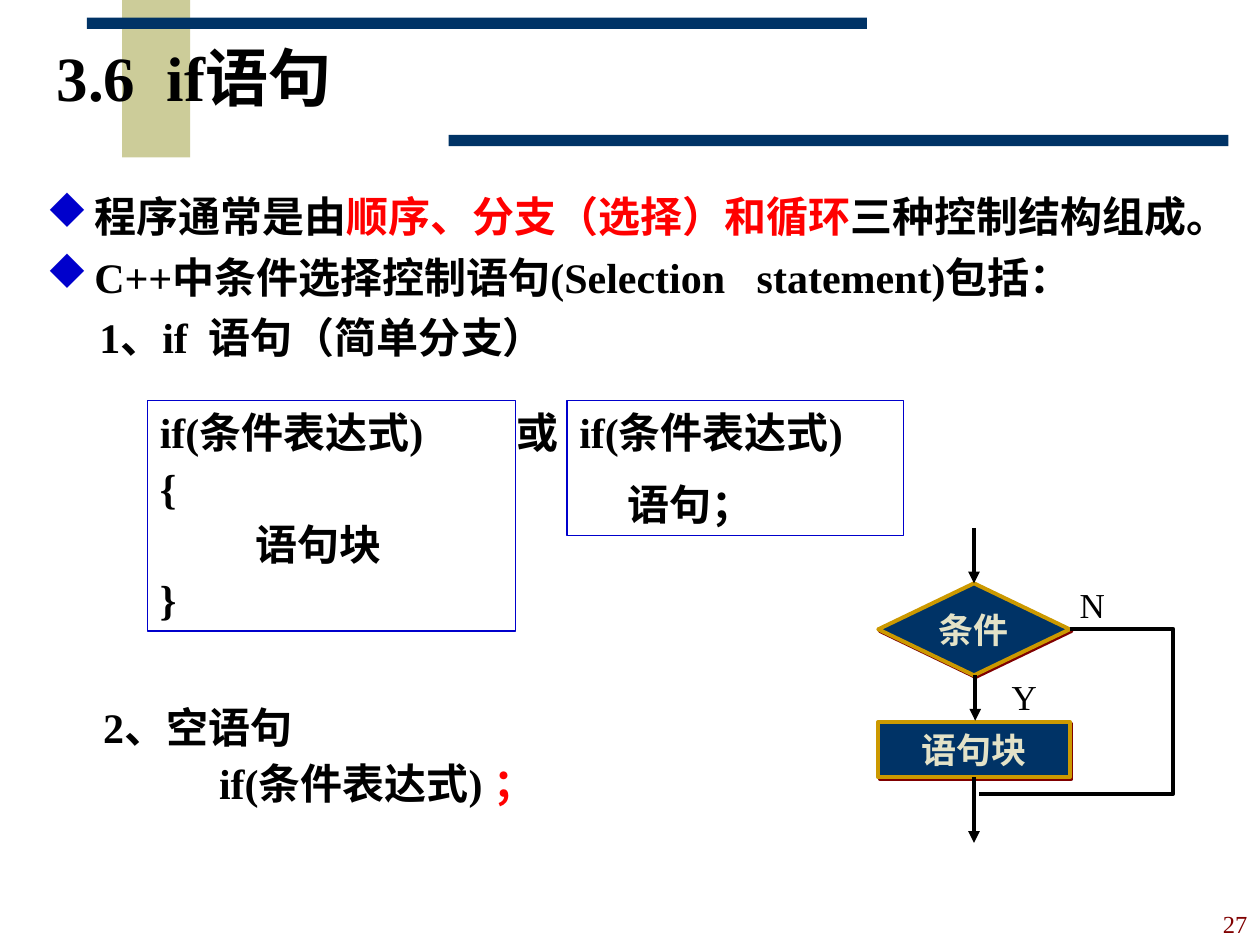
from lxml import etree
from pptx import Presentation
from pptx.dml.color import RGBColor
from pptx.enum.shapes import MSO_CONNECTOR, MSO_SHAPE
from pptx.enum.text import MSO_ANCHOR, MSO_AUTO_SIZE, PP_ALIGN
from pptx.oxml import parse_xml
from pptx.oxml.ns import nsdecls, qn
from pptx.util import Inches, Pt

FONT = "Times New Roman"
BLACK, NAVY, BLUE, RED = "000000", "003366", "0000CC", "FF0000"


def rgb(color):
    return RGBColor.from_string(color)


def write(sp, paragraphs, size=24, bold=True, color=BLACK, gap=0,
          align=PP_ALIGN.LEFT, anchor=MSO_ANCHOR.TOP, wrap=True):
    """Fill a shape with paragraphs, each a list of (text, colour or None) runs."""
    tf = sp.text_frame
    tf.word_wrap = wrap
    tf.auto_size = MSO_AUTO_SIZE.NONE
    tf.vertical_anchor = anchor
    for i, runs in enumerate(paragraphs):
        p = tf.add_paragraph() if i else tf.paragraphs[0]
        p.alignment = align
        p.space_before = Pt(gap if i else 0)
        p.font.name, p.font.size, p.font.bold = FONT, Pt(size), bold
        p.font.color.rgb = rgb(color)
        for text, run_color in runs:
            r = p.add_run()
            r.text = text
            if run_color:
                r.font.color.rgb = rgb(run_color)
    return tf.paragraphs


prs = Presentation()
prs.slide_width, prs.slide_height = Inches(10), Inches(7.5)
s = prs.slides.add_slide(prs.slide_layouts[5])

# Decorative bars behind the title
for x, y, w, h, color in [(0.97, 0, 0.54, 1.25, "CCCC99"),
                          (0.69, 0.14, 6.19, 0.09, NAVY),
                          (3.56, 1.07, 6.19, 0.09, NAVY)]:
    bar = s.shapes.add_shape(MSO_SHAPE.RECTANGLE, Inches(x), Inches(y), Inches(w), Inches(h))
    bar.shadow.inherit = False
    bar.fill.solid()
    bar.fill.fore_color.rgb = rgb(color)
    bar.line.fill.background()

title = s.shapes.title
bar._element.addnext(title._element)
title.left, title.top, title.width, title.height = (
    Inches(0.35), Inches(0.28), Inches(8.74), Inches(0.74))
write(title, [[("3.6  if语句", None)]], size=36, anchor=MSO_ANCHOR.MIDDLE)[0].line_spacing = 0.85

# Main text; the letter u is a diamond in Wingdings
body = s.shapes.add_textbox(Inches(0.27), Inches(1.46), Inches(9.73), Inches(1.6))
lines = write(body, [
    [("程序通常是由", None), ("顺序、分支（选择）和循环", RED), ("三种控制结构组成。", None)],
    [("C++中条件选择控制语句(Selection   statement)包括：", None)],
    [("1、if  语句（简单分支）", None)],
], gap=6)
for p in lines[:2]:
    pPr = p._p.get_or_add_pPr()
    pPr.set("marL", str(Inches(0.38)))
    pPr.set("indent", str(-Inches(0.38)))
    p_font = pPr.find(qn("a:defRPr"))
    for tag, content in [("buClr", f'><a:srgbClr val="{BLUE}"/></a:buClr>'),
                         ("buFont", ' typeface="Wingdings" charset="2"/>'),
                         ("buChar", ' char="u"/>')]:
        p_font.addprevious(parse_xml(f'<a:{tag} {nsdecls("a")}{content}'))
lines[2]._p.get_or_add_pPr().set("marL", str(Inches(0.42)))

# Framed syntax forms
for x, w, h, gap, code in [
        (1.17, 2.92, 1.83, 3, ["if(条件表达式)", "{", "          语句块", "}"]),
        (4.5, 2.67, 1.07, 12, ["if(条件表达式)", "     语句；"])]:
    frame = s.shapes.add_shape(MSO_SHAPE.RECTANGLE, Inches(x), Inches(3.18), Inches(w), Inches(h))
    frame.shadow.inherit = False
    frame.fill.background()
    frame.line.color.rgb = rgb(BLUE)
    frame.line.width = Pt(0.75)
    write(frame, [[(line, None)] for line in code], gap=gap)

either = s.shapes.add_textbox(Inches(4), Inches(3.18), Inches(0.58), Inches(0.5))
write(either, [[("或", None)]])

empty = s.shapes.add_textbox(Inches(0.72), Inches(5.52), Inches(4.5), Inches(0.94))
lines = write(empty, [[("2、空语句", None)], [("if(条件表达式) ", None), ("；", RED)]], gap=3)
lines[1]._p.get_or_add_pPr().set("marL", str(Inches(0.92)))

# Flowchart: nodes, arrows, bypass branch, branch labels
for shape, y, h, text in [(MSO_SHAPE.FLOWCHART_DECISION, 4.63, 0.73, "条件"),
                          (MSO_SHAPE.FLOWCHART_PROCESS, 5.73, 0.44, "语句块")]:
    node = s.shapes.add_shape(shape, Inches(6.97), Inches(y), Inches(1.52), Inches(h))
    node.fill.solid()
    node.fill.fore_color.rgb = rgb(NAVY)
    node.line.color.rgb = rgb("CC9900")
    node.line.width = Pt(2.25)
    node.shadow.inherit = False
    node._element.spPr.find(qn("a:effectLst")).append(parse_xml(
        f'<a:outerShdw {nsdecls("a")} dist="{Pt(1.4)}" dir="2700000" algn="ctr" '
        'rotWithShape="0"><a:srgbClr val="800000"/></a:outerShdw>'))
    write(node, [[(text, None)]], size=20, color="E3E2C7", align=PP_ALIGN.CENTER,
          anchor=MSO_ANCHOR.MIDDLE, wrap=False)

for x, top, bottom in [(7.73, 4.19, 4.63), (7.74, 5.36, 5.72), (7.73, 6.17, 6.69)]:
    arrow = s.shapes.add_connector(MSO_CONNECTOR.STRAIGHT, Inches(x), Inches(top),
                                   Inches(x), Inches(bottom))
    arrow.line.color.rgb = rgb(BLACK)
    arrow.line.width = Pt(2.25)
    etree.SubElement(arrow.line._get_or_add_ln(), qn("a:tailEnd"), type="triangle")
    etree.SubElement(arrow._element.spPr, qn("a:effectLst"))

builder = s.shapes.build_freeform(Inches(8.49), Inches(4.99))
builder.add_line_segments([(Inches(x), Inches(y)) for x, y in
                           [(9.31, 4.99), (9.31, 6.3), (7.77, 6.3)]], close=False)
bypass = builder.convert_to_shape()
bypass.shadow.inherit = False
bypass.fill.background()
bypass.line.color.rgb = rgb(BLACK)
bypass.line.width = Pt(2.25)

for x, y, text in [(8.47, 4.58, "N"), (7.93, 5.31, "Y")]:
    label = s.shapes.add_textbox(Inches(x), Inches(y), Inches(0.4), Inches(0.44))
    write(label, [[(text, None)]], size=20, bold=False, wrap=False)

number = s.shapes.add_textbox(Inches(6.63), Inches(7), Inches(3.37), Inches(0.5))
write(number, [[("27", None)]], size=14, bold=False, color="800000",
      align=PP_ALIGN.RIGHT, anchor=MSO_ANCHOR.BOTTOM)

prs.save("out.pptx")
